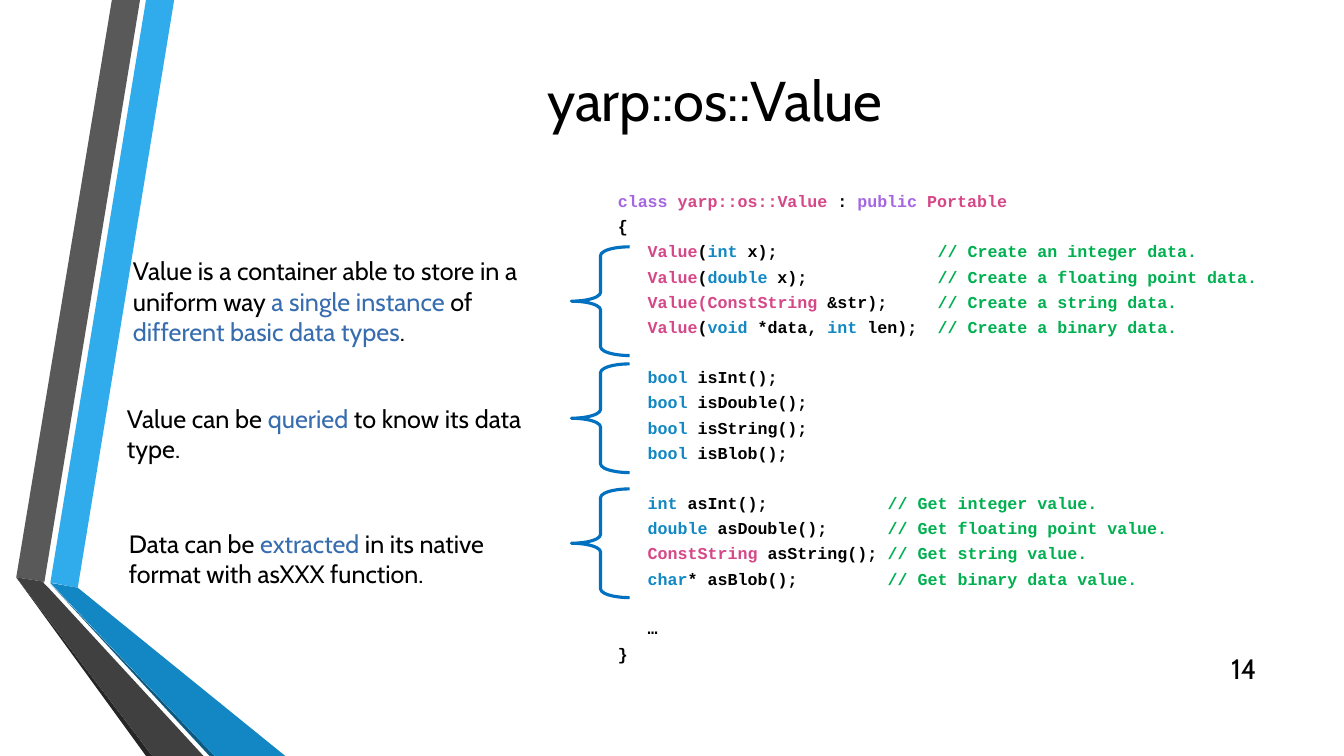
import pptx
import pptx.util
import pptx.dml.color
import pptx.enum.shapes
import pptx.enum.text
import pptx.oxml
import pptx.oxml.ns
from pptx.util import Cm, Pt

COLOURS = {
    "black": "000000", "accent": "376DAE", "keyword": "A666E1", "class": "D64787",
    "type": "1287C3", "comment": "00B050", "brace": "0070C0",
    "sky": "30ACEC", "grey": "595959", "night": "262626",
    "navy": "0C5A82", "blue": "1287C3", "charcoal": "404040",
}
TEXT_FONT, CODE_FONT = "Cabin", "Courier New"

# Content: ribbon outlines in centimetres
RIBBONS = [
    ("sky", [(1.27, 14.68), (1.96, 14.81), (4.39, 0), (3.68, 0)]),
    ("grey", [(3.53, 0), (2.82, 0), (0.41, 14.55), (1.12, 14.66)]),
    ("night", [(0.41, 14.55), (3.68, 19.05), (3.84, 19.05)]),
    ("navy", [(1.27, 14.71), (5.28, 19.05), (5.41, 19.05)]),
    ("blue", [(1.27, 14.69), (5.41, 19.05), (7.19, 19.05), (1.96, 14.81)]),
    ("charcoal", [(5.13, 19.05), (1.22, 14.81), (1.09, 14.68), (1.12, 14.66),
                  (0.41, 14.55), (3.84, 19.05)]),
]

TITLE = [("black", "yarp::os::Value")]
PAGE_NUMBER = [("black", "14")]

# Content: box, size in points, runs
NOTES = [
    ((3.1, 6.32, 11.28, 2.57), 18, [
        ("black", "Value is a container able to store in a uniform way "),
        ("accent", "a single instance "), ("black", "of "),
        ("accent", "different basic data types"), ("black", ".")]),
    ((2.95, 10.03, 10.57, 1.8), 18, [
        ("black", "Value can be "), ("accent", "queried"),
        ("black", " to know its data type.")]),
    ((3.0, 13.18, 10.5, 1.8), 17.9, [
        ("black", "Data can be "), ("accent", "extracted"),
        ("black", " in its native format with asXXX function.")]),
]

BRACE_TOPS = [6.22, 9.17, 12.32]

# Content: code blocks as (comment column in characters, lines of runs)
CODE_BLOCKS = [
    (32, [
        [("keyword", "class "), ("class", "yarp::os::Value "), ("black", ": "),
         ("keyword", "public "), ("class", "Portable")],
        [("black", "{")],
        [("class", "   Value"), ("black", "("), ("type", "int"), ("black", " x);\t"),
         ("comment", "// Create an integer data.")],
        [("class", "   Value"), ("black", "("), ("type", "double"), ("black", " x);\t"),
         ("comment", "// Create a floating point data.")],
        [("class", "   Value(ConstString "), ("black", "&str);\t"),
         ("comment", "// Create a string data.")],
        [("class", "   Value"), ("black", "("), ("type", "void "), ("black", "*data, "),
         ("type", "int "), ("black", "len);\t"), ("comment", "// Create a binary data.")],
    ]),
    (27, [[("type", "   bool "), ("black", name + "();")]
          for name in ("isInt", "isDouble", "isString", "isBlob")]),
    (27, [
        [("type", "   int "), ("black", "asInt();\t"), ("comment", "// Get integer value.")],
        [("type", "   double "), ("black", "asDouble();\t"),
         ("comment", "// Get floating point value.")],
        [("class", "   ConstString "), ("black", "asString();\t"),
         ("comment", "// Get string value.")],
        [("type", "   char"), ("black", "* asBlob();\t"),
         ("comment", "// Get binary data value.")],
    ]),
    (27, [[("black", "   …")], [("black", "}")]]),
]
CODE_SIZE = 11.9
CODE_GAP = 6.65
BLANK_LINE = 17.45
CHARACTER_WIDTH = 0.6 * CODE_SIZE


def colour(name):
    return pptx.dml.color.RGBColor.from_string(COLOURS[name])


def add_text_box(slide, box, anchor):
    frame = slide.shapes.add_textbox(*(Cm(length) for length in box)).text_frame
    frame.word_wrap = True
    frame.vertical_anchor = anchor
    return frame


def add_runs(paragraph, runs, font_name, size, bold=False):
    for colour_name, text in runs:
        run = paragraph.add_run()
        run.text = text
        run.font.name = font_name
        run.font.size = Pt(size)
        run.font.bold = bold
        run.font.color.rgb = colour(colour_name)


def add_tab_stop(paragraph, position):
    properties = paragraph._p.get_or_add_pPr()
    tab_list = properties.makeelement(pptx.oxml.ns.qn("a:tabLst"), {})
    tab_list.append(tab_list.makeelement(
        pptx.oxml.ns.qn("a:tab"), {"pos": str(position), "algn": "l"}))
    properties.append(tab_list)


def add_code(slide):
    frame = add_text_box(slide, (15.32, 4.88, 17.3, 11.86), MIDDLE)
    paragraph = None
    for column, lines in CODE_BLOCKS:
        if paragraph is not None:
            paragraph.space_after = Pt(CODE_GAP + BLANK_LINE)
        for runs in lines:
            paragraph = frame.paragraphs[0] if paragraph is None else frame.add_paragraph()
            add_tab_stop(paragraph, Pt(column * CHARACTER_WIDTH))
            paragraph.line_spacing = 0.8
            paragraph.space_after = Pt(CODE_GAP)
            add_runs(paragraph, runs, CODE_FONT, CODE_SIZE, bold=True)


MIDDLE = pptx.enum.text.MSO_ANCHOR.MIDDLE
TOP = pptx.enum.text.MSO_ANCHOR.TOP


def main():
    presentation = pptx.Presentation()
    presentation.slide_width, presentation.slide_height = Cm(33.87), Cm(19.05)
    slide = presentation.slides.add_slide(presentation.slide_layouts[6])

    # Folded ribbons
    for colour_name, points in RIBBONS:
        start, *others = [(Cm(x), Cm(y)) for x, y in points]
        builder = slide.shapes.build_freeform(*start)
        builder.add_line_segments(others, close=True)
        shape = builder.convert_to_shape()
        shape.shadow.inherit = False
        shape.fill.solid()
        shape.fill.fore_color.rgb = colour(colour_name)
        shape.line.fill.background()

    # Title and page number
    for box, runs, size, alignment in [
        ((4.11, 0.05, 27.81, 4.88), TITLE, 40, pptx.enum.text.PP_ALIGN.CENTER),
        ((30.4, 16.33, 1.52, 1.02), PAGE_NUMBER, 20, pptx.enum.text.PP_ALIGN.RIGHT),
    ]:
        paragraph = add_text_box(slide, box, MIDDLE).paragraphs[0]
        paragraph.alignment = alignment
        add_runs(paragraph, runs, TEXT_FONT, size)

    # Class listing
    add_code(slide)

    # Braces
    for top in BRACE_TOPS:
        brace = slide.shapes.add_shape(pptx.enum.shapes.MSO_SHAPE.LEFT_BRACE,
                                       Cm(14.4), Cm(top), Cm(1.47), Cm(2.74))
        brace.adjustments[0] = 0.15
        brace.shadow.inherit = False
        brace.fill.background()
        brace.line.color.rgb = colour("brace")
        brace.line.width = Pt(2.25)

    # Explanations
    for box, size, runs in NOTES:
        add_runs(add_text_box(slide, box, TOP).paragraphs[0], runs, TEXT_FONT, size)

    presentation.save("out.pptx")


if __name__ == "__main__":
    main()
